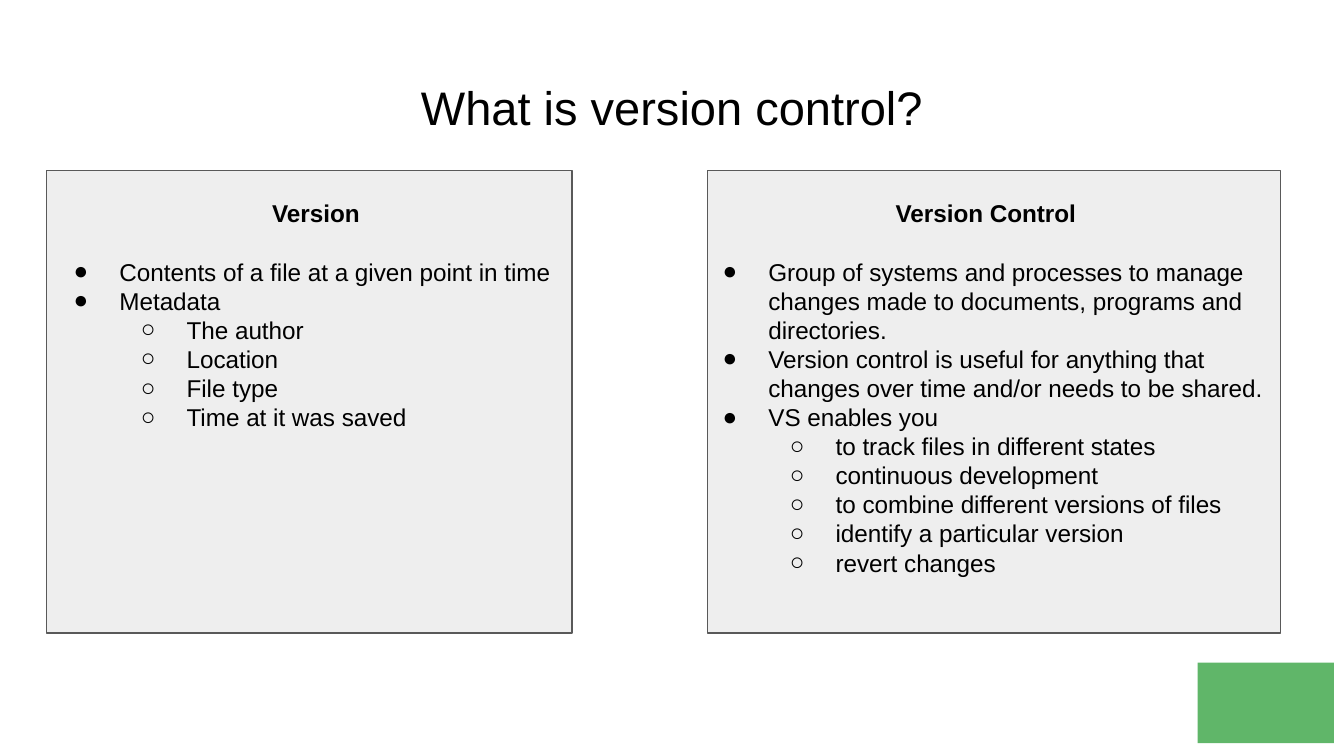
import pptx
import pptx.dml.color
import pptx.enum.shapes
import pptx.enum.text
import pptx.util
import lxml.etree

Pt = pptx.util.Pt
BLACK = pptx.dml.color.RGBColor(0x00, 0x00, 0x00)
PANEL_GRAY = pptx.dml.color.RGBColor(0xEE, 0xEE, 0xEE)
BORDER_GRAY = pptx.dml.color.RGBColor(0x59, 0x59, 0x59)
GREEN = pptx.dml.color.RGBColor(0x60, 0xB6, 0x69)
LEFT = pptx.enum.text.PP_ALIGN.LEFT
CENTER = pptx.enum.text.PP_ALIGN.CENTER
LINE_HEIGHT = 15.6
BULLETS = ["●", "○"]


def add_paragraph(frame, text, size=13, color=BLACK, bold=False, align=LEFT,
                  line_height=LINE_HEIGHT, space_after=0, level=None):
    first = frame.paragraphs[0]
    paragraph = frame.add_paragraph() if first.runs else first
    paragraph.alignment = align
    paragraph.space_before = Pt(0)
    paragraph.space_after = Pt(space_after)
    if line_height:
        paragraph.line_spacing = Pt(line_height)
    run = paragraph.add_run()
    run.text = text
    run.font.name = "Arial"
    run.font.size = Pt(size)
    run.font.bold = bold
    run.font.color.rgb = color
    if level is not None:
        paragraph.level = level
        properties = paragraph._p.get_or_add_pPr()
        properties.set("marL", str(Pt(36 * (level + 1))))
        properties.set("indent", str(-Pt(24.5)))
        namespace = "{" + properties.nsmap["a"] + "}"
        bullet_color = lxml.etree.SubElement(properties, namespace + "buClr")
        lxml.etree.SubElement(bullet_color, namespace + "srgbClr", val=str(color))
        lxml.etree.SubElement(properties, namespace + "buFont", typeface="Arial")
        lxml.etree.SubElement(properties, namespace + "buChar", char=BULLETS[level])


def prepare_frame(shape, anchor=pptx.enum.text.MSO_ANCHOR.TOP):
    frame = shape.text_frame
    frame.word_wrap = True
    frame.auto_size = pptx.enum.text.MSO_AUTO_SIZE.NONE
    frame.vertical_anchor = anchor
    frame.margin_left = frame.margin_right = Pt(7.2)
    frame.margin_top = frame.margin_bottom = Pt(7.2)
    return frame


presentation = pptx.Presentation()
presentation.slide_width = Pt(720)
presentation.slide_height = Pt(405)
slide = presentation.slides.add_slide(presentation.slide_layouts[5])

title = slide.shapes.title
title.left, title.top, title.width, title.height = Pt(24.5), Pt(34.5), Pt(671), Pt(45.4)
title_frame = prepare_frame(title, pptx.enum.text.MSO_ANCHOR.MIDDLE)
add_paragraph(title_frame, "What is version control?", size=25.2, align=CENTER, line_height=None)

columns = [
    {
        "panel": (25, 281.5), "text": (20.9, 296.6, 140.4), "heading": "Version",
        "items": [
            (0, "Contents of a file at a given point in time"),
            (0, "Metadata"),
            (1, "The author"),
            (1, "Location"),
            (1, "File type"),
            (1, "Time at it was saved"),
        ],
    },
    {
        "panel": (379, 307), "text": (368.6, 319, 235.4), "heading": "Version Control",
        "items": [
            (0, "Group of systems and processes to manage changes made to documents, "
                "programs and directories."),
            (0, "Version control is useful for anything that changes over time "
                "and/or needs to be shared."),
            (0, "VS enables you"),
            (1, "to track files in different states"),
            (1, "continuous development"),
            (1, "to combine different versions of files"),
            (1, "identify a particular version"),
            (1, "revert changes"),
        ],
    },
]

for column in columns:
    left, width = column["panel"]
    panel = slide.shapes.add_shape(pptx.enum.shapes.MSO_SHAPE.RECTANGLE,
                                   Pt(left), Pt(91.4), Pt(width), Pt(247.7))
    panel.shadow.inherit = False
    panel.fill.solid()
    panel.fill.fore_color.rgb = PANEL_GRAY
    panel.line.color.rgb = BORDER_GRAY
    panel.line.width = Pt(0.75)

    left, width, height = column["text"]
    text_box = slide.shapes.add_textbox(Pt(left), Pt(99.2), Pt(width), Pt(height))
    frame = prepare_frame(text_box)
    add_paragraph(frame, column["heading"], bold=True, align=CENTER, space_after=LINE_HEIGHT)
    for level, text in column["items"]:
        add_paragraph(frame, text, level=level)

corner_block = slide.shapes.add_shape(pptx.enum.shapes.MSO_SHAPE.RECTANGLE,
                                      Pt(641.6), Pt(355), Pt(73), Pt(43.2))
corner_block.shadow.inherit = False
corner_block.fill.solid()
corner_block.fill.fore_color.rgb = GREEN
corner_block.line.fill.background()

presentation.save("out.pptx")
